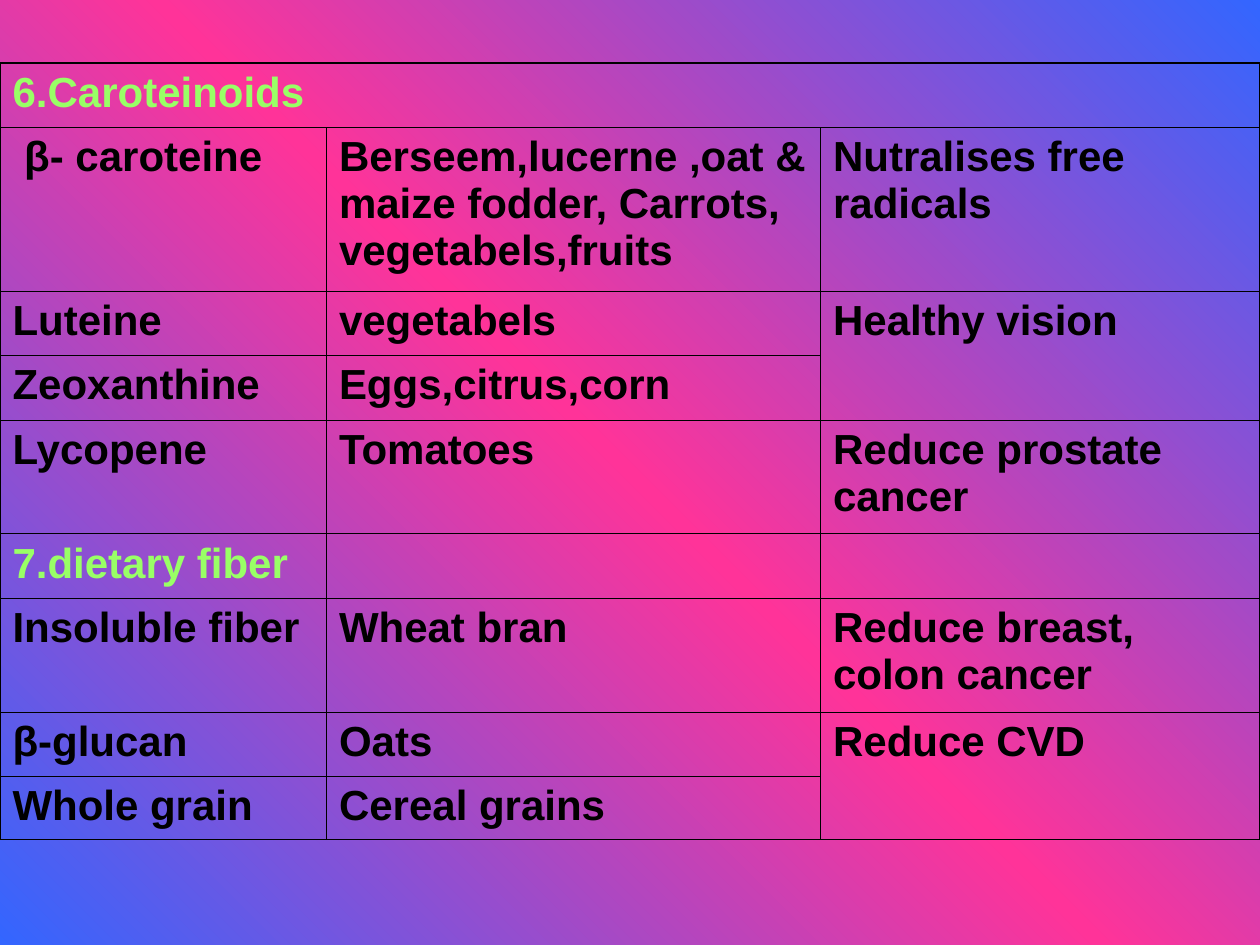
from copy import deepcopy

from lxml import etree
from pptx import Presentation
from pptx.dml.color import RGBColor
from pptx.oxml.ns import qn
from pptx.util import Cm, Pt

COLORS = {"blue": "3366FF", "pink": "FF3399", "green": "99FF66", "black": "000000"}
NO_STYLE = "{2D5ABB26-0587-4C30-8999-92F81FD0307C}"
THIN, THICK = Pt(0.45), Pt(1.08)

COL_WIDTHS = [6.58, 9.96, 8.86]
ROW_HEIGHTS = [1.3, 3.3, 1.3, 1.3, 2.29, 1.3, 2.29, 1.3, 1.27]
ROWS = [
    ["6.Caroteinoids", "", ""],
    [" β- caroteine", "Berseem,lucerne ,oat & maize fodder, Carrots, vegetabels,fruits",
     "Nutralises free radicals"],
    ["Luteine", "vegetabels", "Healthy vision"],
    ["Zeoxanthine", "Eggs,citrus,corn", ""],
    ["Lycopene", "Tomatoes", "Reduce prostate cancer"],
    ["7.dietary fiber", "", ""],
    ["Insoluble fiber", "Wheat bran", "Reduce breast, colon cancer"],
    ["β-glucan", "Oats", "Reduce CVD"],
    ["Whole grain", "Cereal grains", ""],
]
HEADING_ROWS = (0, 5)
MERGES = [((0, 0), (0, 2)), ((2, 2), (3, 2)), ((7, 2), (8, 2))]


def set_borders(cell, widths):
    tcPr = cell.fill._xPr
    for i, (side, width) in enumerate(widths.items()):
        ln = etree.Element(qn(f"a:ln{side}"), w=str(width))
        solid = etree.SubElement(ln, qn("a:solidFill"))
        etree.SubElement(solid, qn("a:srgbClr"), val=COLORS["black"])
        tcPr.insert(i, ln)


prs = Presentation()
prs.slide_width, prs.slide_height = Cm(25.4), Cm(19.05)
s = prs.slides.add_slide(prs.slide_layouts[6])

# Diagonal background: blue, pink, blue
fill = s.background.fill
fill.gradient()
fill.gradient_angle = 45
stop_list = s.element.find(".//" + qn("a:gsLst"))
stop_list.append(deepcopy(stop_list[0]))
for stop, position, name in zip(fill.gradient_stops, (0, 0.5, 1), ("blue", "pink", "blue")):
    stop.position = position
    stop.color.rgb = RGBColor.from_string(COLORS[name])

# Table grid
frame = s.shapes.add_table(len(ROWS), len(COL_WIDTHS), Cm(0), Cm(1.27),
                           Cm(sum(COL_WIDTHS)), Cm(sum(ROW_HEIGHTS)))
table = frame.table
table.first_row = table.horz_banding = False
frame.element.find(".//" + qn("a:tableStyleId")).text = NO_STYLE
for column, width in zip(table.columns, COL_WIDTHS):
    column.width = Cm(width)
for row, height in zip(table.rows, ROW_HEIGHTS):
    row.height = Cm(height)
for first, last in MERGES:
    table.cell(*first).merge(table.cell(*last))

# Cell text, with thick lines only around the outside
for r, texts in enumerate(ROWS):
    for c, text in enumerate(texts):
        cell = table.cell(r, c)
        if cell.is_spanned:
            continue
        cell.fill.background()
        set_borders(cell, {
            "L": THICK if c == 0 else THIN,
            "R": THICK if c + cell.span_width == len(COL_WIDTHS) else THIN,
            "T": THICK if r == 0 else THIN,
            "B": THICK if r + cell.span_height == len(ROWS) else THIN,
        })
        p = cell.text_frame.paragraphs[0]
        p.text = text
        for run in p.runs:
            run.font.name = "Arial"
            run.font.size = Pt(24)
            run.font.bold = True
            color = COLORS["green" if r in HEADING_ROWS else "black"]
            run.font.color.rgb = RGBColor.from_string(color)

prs.save("out.pptx")
